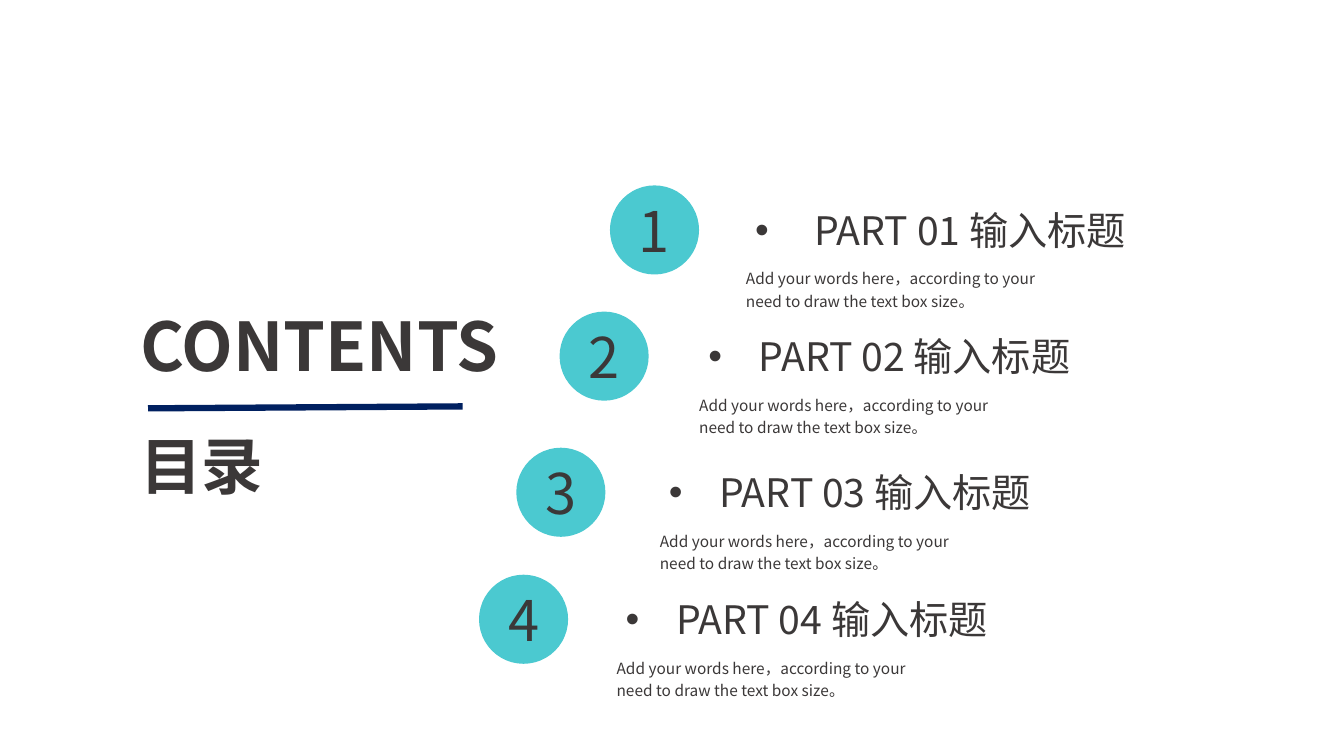
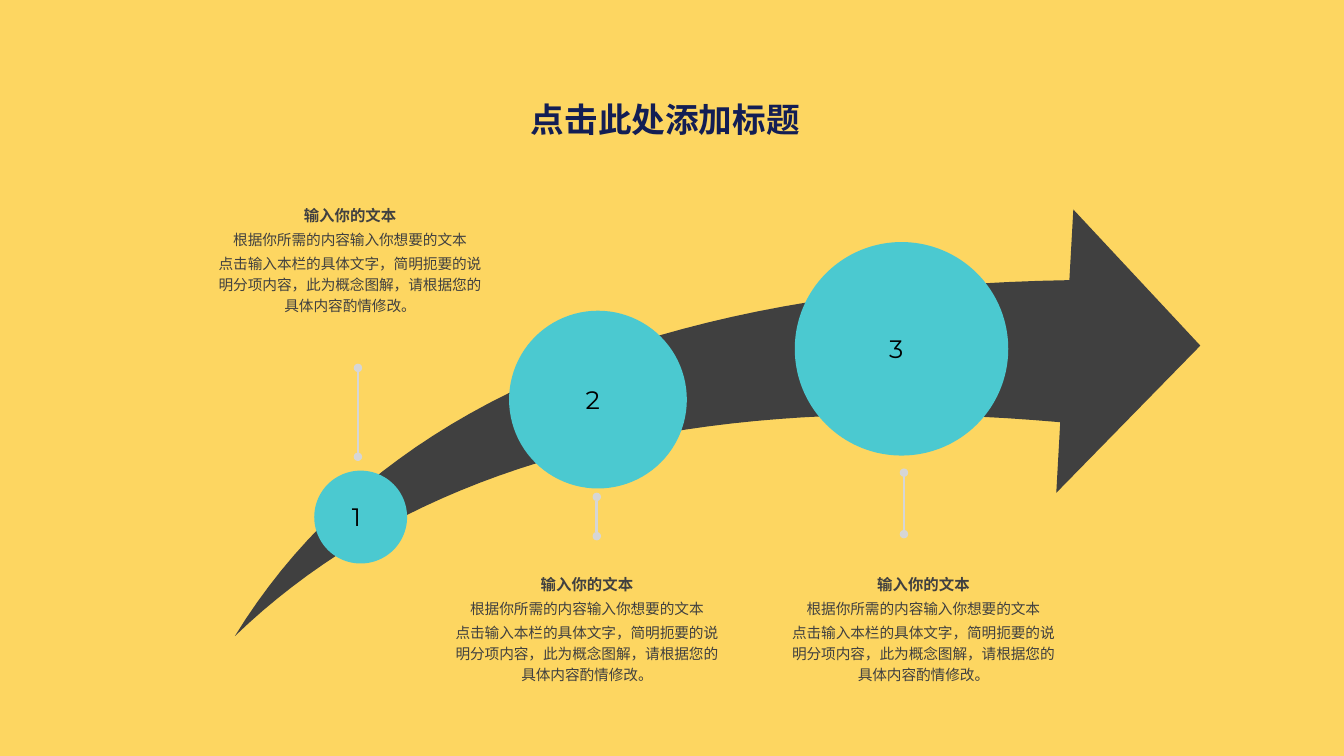
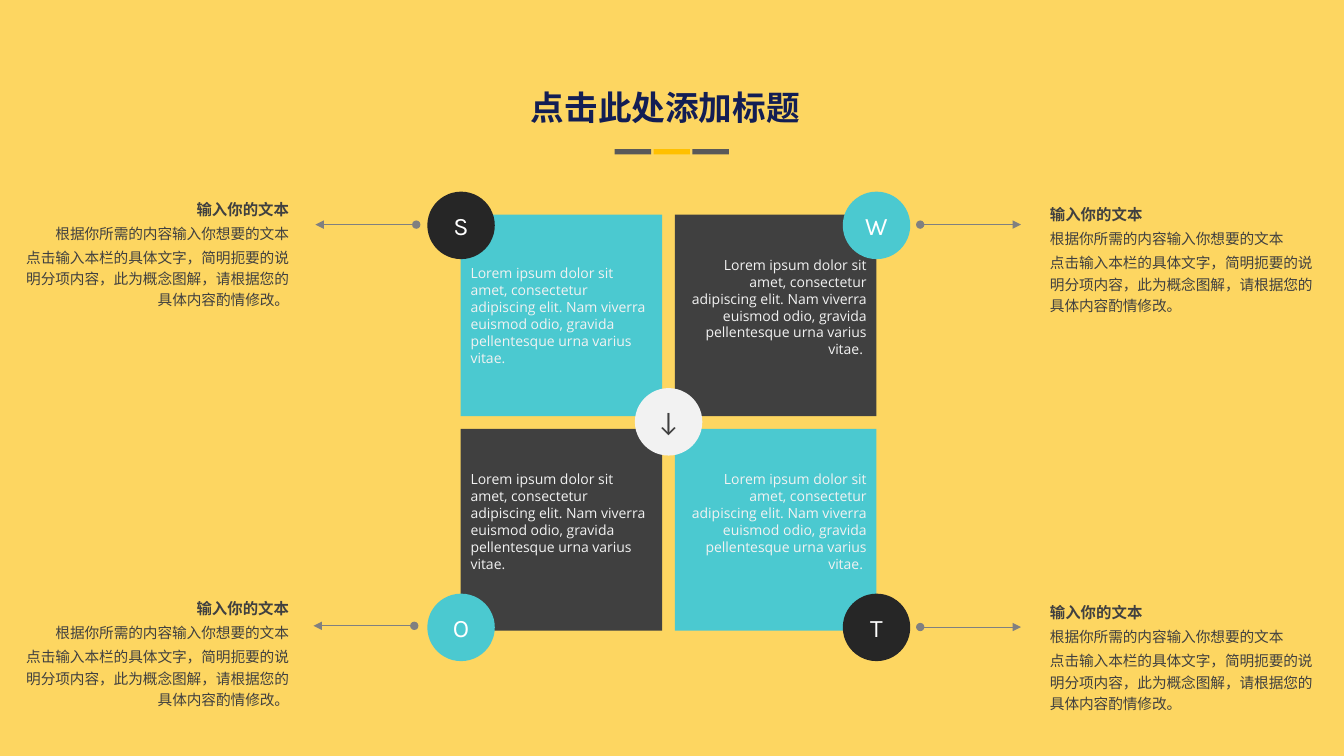
from lxml import etree
from pptx import Presentation, util as u
from pptx.dml.color import RGBColor
from pptx.enum import shapes, text
from pptx.oxml.ns import qn

# ---- Shared style ----
COLOURS = {
    "ink": "3B3838", "rule": "002060", "title": "131E54", "yellow": "FDD661",
    "teal": "4BC9D0", "dark": "404040", "black": "262626", "pale": "F2F2F2",
    "white": "FFFFFF", "number": "000000", "stem": "D6D6D6", "arrow": "808080",
    "bar": "595959", "amber": "FFC000",
}
CJK = "Noto Sans CJK SC"
WIDTH, HEIGHT = 33.87, 19.05
NO_INSETS = (0, 0, 0, 0)
NOTE_INSETS = (0.3, 0.15, 0.3, 0.15)
NUMBER_INSETS = (0.08, 0.08, 0.08, 0.08)
LEFT, CENTRE, RIGHT = text.PP_ALIGN.LEFT, text.PP_ALIGN.CENTER, text.PP_ALIGN.RIGHT
RECTANGLE, OVAL = shapes.MSO_SHAPE.RECTANGLE, shapes.MSO_SHAPE.OVAL

# ---- Content, lengths in centimetres ----
SLIDE_TITLE = "点击此处添加标题"
NOTE = [
    "输入你的文本",
    "根据你所需的内容输入你想要的文本",
    "点击输入本栏的具体文字，简明扼要的说明分项内容，此为概念图解，请根据您的具体内容酌情修改。",
]
PART_TEXT = "Add your words here，according to your need to draw the text box size。"
# circle left, circle top, heading left, heading width, heading
PARTS = [
    (15.39, 4.69, 18.78, 11.02, " PART 01 输入标题"),
    (14.12, 7.87, 17.6, 11.02, "PART 02 输入标题"),
    (13.03, 11.3, 16.61, 13.18, "PART 03 输入标题"),
    (12.09, 14.5, 15.52, 14.27, "PART 04 输入标题"),
]
# circle centre and diameter, number box, stem x and ends, note position
STEPS = [
    {"circle": (9.09, 13.03, 2.34), "number": (8.79, 12.37, 0.58),
     "stem": (9.02, 9.27, 11.51), "note": (5.18, 4.95)},
    {"circle": (15.07, 10.07, 4.48), "number": (14.68, 9.42, 0.76),
     "stem": (15.04, 12.52, 13.51), "note": (11.15, 14.25)},
    {"circle": (22.72, 8.79, 5.38), "number": (22.33, 8.15, 0.74),
     "stem": (22.78, 11.91, 13.46), "note": (19.63, 14.25)},
]
# Upper curve, head corners and lower curve of the big arrow
UPPER_CURVE = [(5.92, 16.03), (9.47, 10.24), (16.48, 7.24), (26.95, 7.06)]
ARROW_HEAD = [(27.05, 5.28), (30.25, 8.71), (26.62, 12.42)]
LOWER_CURVE = [(26.72, 10.64), (17.48, 9.83), (10.52, 11.61), (5.92, 16.03)]

LOREM = ("Lorem ipsum dolor sit amet, consectetur adipiscing elit. Nam viverra "
         "euismod odio, gravida pellentesque urna varius vitae.")
# letter, column, row, tile and badge colours, bottom inset, arrow, note position
QUADRANTS = [
    ("S", 0, 0, "teal", "black", 0.13, (10.49, 7.95, 5.66), (0.3, 4.8)),
    ("W", 1, 0, "dark", "teal", 0.55, (23.19, 25.73, 5.66), (26.16, 4.93)),
    ("O", 0, 1, "dark", "teal", 0.55, (10.44, 7.9, 15.77), (0.3, 14.86)),
    ("T", 1, 1, "teal", "black", 0.55, (23.19, 25.73, 15.8), (26.16, 14.96)),
]


# ---- Helpers ----
def rgb(name):
    return RGBColor.from_string(COLOURS[name])


def format_paragraph(paragraph, size, colour, font=CJK, bold=False, align=LEFT,
                     spacing=None, before=None):
    paragraph.alignment = align
    if spacing:
        paragraph.line_spacing = spacing
    if before is not None:
        paragraph.space_before = u.Pt(before)
    for run in paragraph.runs:
        run.font.size, run.font.bold, run.font.name = u.Pt(size), bold, font
        run.font.color.rgb = rgb(colour)
        east_asian = etree.SubElement(run.font._element, qn("a:ea"))
        east_asian.set("typeface", font)


def set_insets(frame, insets):
    (frame.margin_left, frame.margin_top,
     frame.margin_right, frame.margin_bottom) = map(u.Cm, insets)


def add_text(slide, box, lines, insets=None, grow=True):
    """Add a text box and return its text frame."""
    frame = slide.shapes.add_textbox(*map(u.Cm, box)).text_frame
    frame.word_wrap = True
    if grow:
        frame.auto_size = text.MSO_AUTO_SIZE.SHAPE_TO_FIT_TEXT
    if insets:
        set_insets(frame, insets)
    frame.text = "\n".join(lines)
    return frame


def paint(shape, fill, line=None):
    shape.shadow.inherit = False
    shape.fill.solid()
    shape.fill.fore_color.rgb = rgb(fill)
    if line:
        shape.line.color.rgb = rgb(line)
        shape.line.width = u.Pt(1)
    else:
        shape.line.fill.background()


def add_shape(parent, kind, box, fill, line=None, label="", **style):
    shape = parent.shapes.add_shape(kind, *map(u.Cm, box))
    paint(shape, fill, line)
    if label:
        frame = shape.text_frame
        frame.word_wrap = True
        frame.vertical_anchor = text.MSO_ANCHOR.MIDDLE
        frame.text = label
        format_paragraph(frame.paragraphs[0], **style)
    return shape


def add_circle(slide, centre_x, centre_y, diameter, fill, **options):
    box = (centre_x - diameter / 2, centre_y - diameter / 2, diameter, diameter)
    return add_shape(slide, OVAL, box, fill, **options)


def add_line(slide, start, end, colour, width, head=None, tail=None):
    line = slide.shapes.add_connector(shapes.MSO_CONNECTOR.STRAIGHT,
                                      *map(u.Cm, (*start, *end)))
    line.line.color.rgb = rgb(colour)
    line.line.width = u.Pt(width)
    outline = line.line._get_or_add_ln()
    for tag, kind in (("a:headEnd", head), ("a:tailEnd", tail)):
        if kind:
            etree.SubElement(outline, qn(tag)).set("type", kind)
    etree.SubElement(line._element.spPr, qn("a:effectLst"))


def add_bullet(paragraph, indent):
    properties = paragraph._p.get_or_add_pPr()
    properties.set("marL", str(u.Cm(indent)))
    properties.set("indent", str(-u.Cm(indent)))
    etree.SubElement(properties, qn("a:buFont")).set("typeface", "Arial")
    etree.SubElement(properties, qn("a:buChar")).set("char", "•")


def add_note(slide, position, align):
    frame = add_text(slide, (*position, 7.29, 3.2), NOTE, NOTE_INSETS)
    for index, paragraph in enumerate(frame.paragraphs):
        format_paragraph(paragraph, 10.5 if index else 11, "dark", bold=index == 0,
                         align=align, spacing=1.2, before=2.1)


def add_yellow_slide(presentation, title_top):
    slide = presentation.slides.add_slide(presentation.slide_layouts[6])
    add_shape(slide, RECTANGLE, (0, 0, WIDTH, HEIGHT), "yellow", "yellow")
    frame = add_text(slide, (13.13, title_top, 7.62, 1.4), [SLIDE_TITLE])
    format_paragraph(frame.paragraphs[0], 24, "title", bold=True, spacing=1.1)
    return slide


def curve_points(controls, steps=40):
    """Points along a cubic Bezier curve."""
    points = []
    for step in range(steps + 1):
        t = step / steps
        weights = ((1 - t) ** 3, 3 * t * (1 - t) ** 2, 3 * t ** 2 * (1 - t), t ** 3)
        points.append(tuple(sum(w * point[axis] for w, point in zip(weights, controls))
                            for axis in (0, 1)))
    return points


# ---- Slides ----
def build_contents(presentation):
    slide = presentation.slides.add_slide(presentation.slide_layouts[6])
    for box, words, size in (((3.28, 7.54, 11.02, 2.31), "CONTENTS", 48),
                             ((3.28, 10.67, 7.62, 2.13), "目录", 44)):
        frame = add_text(slide, box, [words])
        format_paragraph(frame.paragraphs[0], size, "ink", bold=True)
    add_line(slide, (3.73, 10.29), (11.66, 10.24), "rule", 4.5)

    for number, (left, top, heading_left, width, heading) in enumerate(PARTS, 1):
        frame = add_text(slide, (heading_left, top + 0.38, width, 1.45), [heading])
        format_paragraph(frame.paragraphs[0], 28, "ink")
        add_bullet(frame.paragraphs[0], 1.27)
        frame = add_text(slide, (heading_left + 0.02, top + 2.01, 7.32, 1.09),
                         [PART_TEXT], NO_INSETS)
        format_paragraph(frame.paragraphs[0], 11, "ink", spacing=1.2, before=2.2)
        add_shape(slide, OVAL, (left, top, 2.21, 2.21), "teal", "teal",
                  label=str(number), size=40, colour="ink", align=CENTRE)


def build_growth_arrow(presentation):
    slide = add_yellow_slide(presentation, 2.26)
    outline = curve_points(UPPER_CURVE) + ARROW_HEAD + curve_points(LOWER_CURVE)
    points = [(u.Cm(x), u.Cm(y)) for x, y in outline]
    builder = slide.shapes.build_freeform(*points[0])
    builder.add_line_segments(points[1:-1], close=True)
    paint(builder.convert_to_shape(), "dark")

    for number, step in enumerate(STEPS, 1):
        add_circle(slide, *step["circle"], "teal")
        frame = add_text(slide, (*step["number"], 1.27), [str(number)],
                         NUMBER_INSETS, grow=False)
        frame.vertical_anchor = text.MSO_ANCHOR.MIDDLE
        format_paragraph(frame.paragraphs[0], 18, "number", "Montserrat")
        frame.paragraphs[0].runs[0].font._element.set("spc", "-50")
        x, top, bottom = step["stem"]
        add_line(slide, (x, top), (x, bottom), "stem", 2, "oval", "oval")
        add_note(slide, step["note"], CENTRE)


def build_swot(presentation):
    slide = add_yellow_slide(presentation, 1.96)
    bars = slide.shapes.add_group_shape()
    for index, colour in enumerate(("bar", "amber", "bar")):
        add_shape(bars, RECTANGLE, (15.49 + index * 0.98, 3.76, 0.92, 0.13), colour)

    tile, pitch = 5.08, 5.4
    for letter, column, row, tile_fill, badge_fill, bottom, arrow, note in QUADRANTS:
        box = (11.61 + column * pitch, 5.41 + row * pitch, tile, tile)
        shape = add_shape(slide, RECTANGLE, box, tile_fill,
                          label=LOREM + " " * column, size=10, colour="pale",
                          font="Open Sans", align=RIGHT if column else LEFT)
        set_insets(shape.text_frame, (0.25, 0.13, 0.25, bottom))
        add_circle(slide, 11.62 + column * 10.47, 5.68 + row * 10.13, 1.7, badge_fill,
                   label=letter, size=18, colour="white", font="Karla", align=CENTRE)
        start, end, y = arrow
        add_line(slide, (start, y), (end, y), "arrow", 0.5, "oval", "triangle")
        add_note(slide, note, LEFT if column else RIGHT)
    add_circle(slide, 16.85, 10.63, 1.7, "pale", label="↓", size=18, colour="dark",
               font="Lato", align=CENTRE)


def main():
    presentation = Presentation()
    presentation.slide_width, presentation.slide_height = u.Cm(WIDTH), u.Cm(HEIGHT)
    build_contents(presentation)
    build_growth_arrow(presentation)
    build_swot(presentation)
    presentation.save("out.pptx")


if __name__ == "__main__":
    main()
